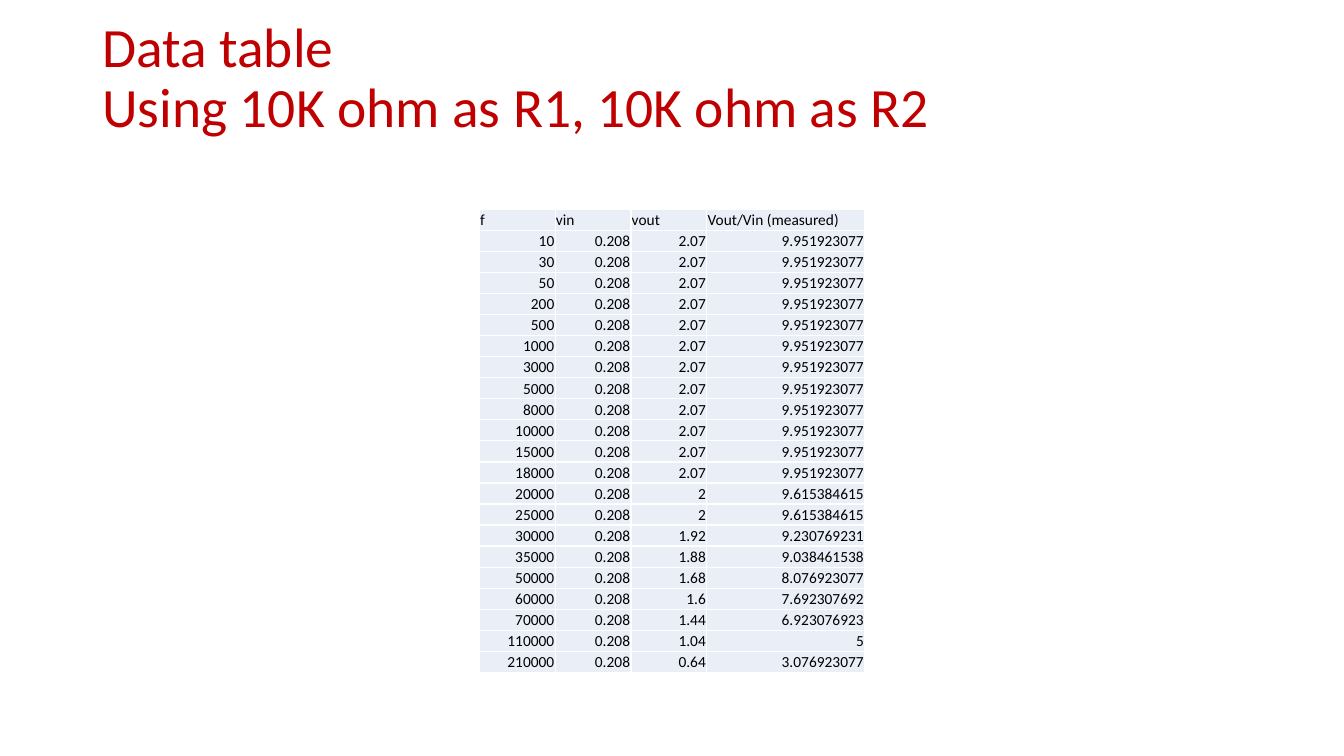
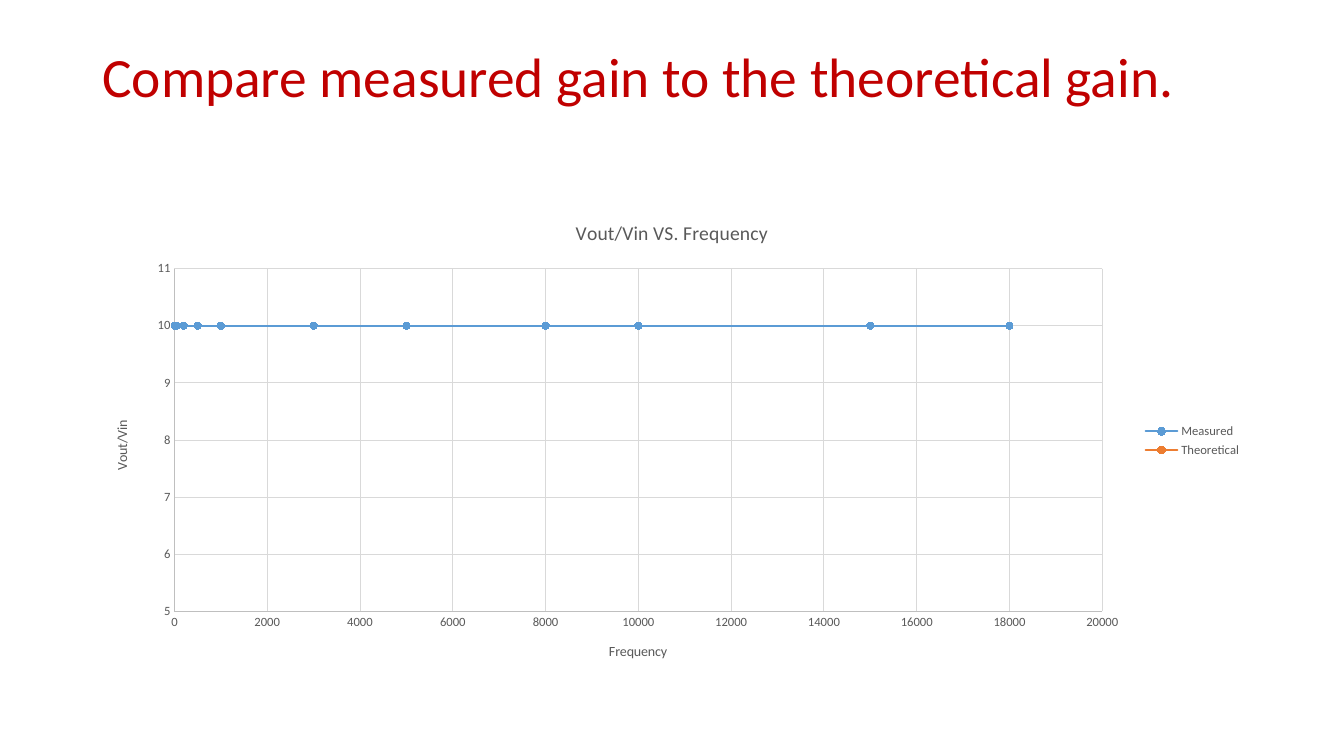
from dataclasses import dataclass
from typing import Any, NamedTuple

from lxml.etree import SubElement
from pptx import Presentation
from pptx.chart.data import XyChartData
from pptx.dml.color import RGBColor as RGB
from pptx.enum.chart import XL_CHART_TYPE as ChartType
from pptx.enum.chart import XL_LEGEND_POSITION as LegendPos
from pptx.enum.chart import XL_MARKER_STYLE as Marker
from pptx.enum.chart import XL_TICK_MARK as Tick
from pptx.enum.text import MSO_ANCHOR as Anchor
from pptx.enum.text import PP_ALIGN as Align
from pptx.oxml.ns import qn
from pptx.util import Cm, Pt


@dataclass(frozen=True)
class Theme:
    font: str = "Calibri"
    title: RGB = RGB(0xC0, 0x00, 0x00)
    text: RGB = RGB(0x00, 0x00, 0x00)
    label: RGB = RGB(0x59, 0x59, 0x59)
    axis: RGB = RGB(0xBF, 0xBF, 0xBF)
    grid: RGB = RGB(0xD9, 0xD9, 0xD9)
    cell: RGB = RGB(0xEA, 0xEF, 0xF7)
    border: str = "FFFFFF"
    blue: RGB = RGB(0x5B, 0x9B, 0xD5)
    orange: RGB = RGB(0xED, 0x7D, 0x31)
    title_size: float = 39.6
    cell_size: float = 11
    chart_title_size: float = 14
    axis_title_size: float = 10
    label_size: float = 9


class Box(NamedTuple):
    left: Cm
    top: Cm
    width: Cm
    height: Cm


class Reading(NamedTuple):
    f: int
    vout: float

    @property
    def gain(self) -> float:
        return self.vout / VIN


class Curve(NamedTuple):
    name: str
    points: list[tuple[int, int]]
    color: RGB


THEME = Theme()
VIN = 0.208
IDEAL_GAIN = 10
FLAT_BAND = (10, 30, 50, 200, 500, 1000, 3000, 5000, 8000, 10000, 15000, 18000)
FLAT = [Reading(f, 2.07) for f in FLAT_BAND]
ROLL_OFF = [
    Reading(20000, 2), Reading(25000, 2), Reading(30000, 1.92),
    Reading(35000, 1.88), Reading(50000, 1.68), Reading(60000, 1.6),
    Reading(70000, 1.44), Reading(110000, 1.04), Reading(210000, 0.64),
]
HEADER = ("f", "vin", "vout", "Vout/Vin (measured)")
COL_WIDTHS = (Cm(1.91), Cm(1.91), Cm(1.91), Cm(3.98))
ROW_HEIGHT = Cm(0.53)

TITLE_BOX = Box(Cm(2.33), Cm(1.01), Cm(29.21), Cm(3.68))
CHART_BOX = Box(Cm(2.33), Cm(5.06), Cm(29.21), Cm(12.09))
TABLE_LEFT, TABLE_TOP = Cm(12.08), Cm(5.28)


def apply(obj: Any, fmt: dict[str, Any]) -> None:
    for name, value in fmt.items():
        setattr(obj, name, value)


def style_font(font: Any, size: float, color: RGB) -> None:
    apply(font, {"name": THEME.font, "size": Pt(size), "bold": False})
    font.color.rgb = color


def style_line(line: Any, color: RGB, width: float = 0.75) -> None:
    line.color.rgb = color
    line.width = Pt(width)


def add_title(s: Any, text: str) -> None:
    tf = s.shapes.add_textbox(*TITLE_BOX).text_frame
    apply(tf, {
        "word_wrap": True, "vertical_anchor": Anchor.MIDDLE,
        "margin_top": Cm(0.13), "margin_bottom": Cm(1.8),
    })
    p = tf.paragraphs[0]
    apply(p, {"text": text, "line_spacing": 0.9})
    for r in p.runs:
        style_font(r.font, THEME.title_size, THEME.title)


def add_borders(cell: Any) -> None:
    tc_pr = cell._tc.get_or_add_tcPr()
    for i, side in enumerate(("a:lnL", "a:lnR", "a:lnT", "a:lnB")):
        ln = tc_pr.makeelement(qn(side), {"w": str(Pt(1))})
        fill = SubElement(ln, qn("a:solidFill"))
        SubElement(fill, qn("a:srgbClr"), val=THEME.border)
        tc_pr.insert(i, ln)


def fill_cell(cell: Any, text: str, align: Align) -> None:
    apply(cell, {
        "text": text, "vertical_anchor": Anchor.MIDDLE,
        "margin_left": Cm(0.02), "margin_right": Cm(0.02),
        "margin_top": Cm(0.02), "margin_bottom": 0,
    })
    cell.fill.solid()
    cell.fill.fore_color.rgb = THEME.cell
    p = cell.text_frame.paragraphs[0]
    p.alignment = align
    style_font(p.runs[0].font, THEME.cell_size, THEME.text)
    add_borders(cell)


def add_readings(s: Any, readings: list[Reading]) -> None:
    rows = [HEADER] + [
        tuple(f"{v:.10g}" for v in (m.f, VIN, m.vout, m.gain)) for m in readings
    ]
    table = s.shapes.add_table(
        len(rows), len(HEADER), TABLE_LEFT, TABLE_TOP,
        sum(COL_WIDTHS), ROW_HEIGHT * len(rows),
    ).table
    apply(table, {"first_row": False, "horz_banding": False})
    for col, width in zip(table.columns, COL_WIDTHS):
        col.width = width
    for i, row in enumerate(rows):
        table.rows[i].height = ROW_HEIGHT
        for j, text in enumerate(row):
            fill_cell(table.cell(i, j), text, Align.RIGHT if i else Align.LEFT)


def set_title(title: Any, text: str, size: float) -> Any:
    tf = title.text_frame
    tf.text = text
    style_font(tf.paragraphs[0].runs[0].font, size, THEME.label)
    return tf


def style_axis(axis: Any, title: str) -> Any:
    apply(axis, {
        "has_major_gridlines": True, "has_minor_gridlines": False,
        "major_tick_mark": Tick.NONE, "minor_tick_mark": Tick.NONE,
    })
    style_line(axis.format.line, THEME.axis)
    style_line(axis.major_gridlines.format.line, THEME.grid)
    style_font(axis.tick_labels.font, THEME.label_size, THEME.label)
    return set_title(axis.axis_title, title, THEME.axis_title_size)


def style_curve(series: Any, color: RGB) -> None:
    series.smooth = False
    style_line(series.format.line, color, 1.5)
    series.format.line._get_or_add_ln().set("cap", "rnd")
    apply(series.marker, {"style": Marker.CIRCLE, "size": 5})
    mark = series.marker.format
    mark.fill.solid()
    mark.fill.fore_color.rgb = color
    style_line(mark.line, color)


def add_gain_chart(s: Any, curves: list[Curve]) -> None:
    data = XyChartData()
    for curve in curves:
        series = data.add_series(curve.name)
        for x, y in curve.points:
            series.add_data_point(x, y)
    chart = s.shapes.add_chart(ChartType.XY_SCATTER_LINES, *CHART_BOX, data).chart
    style_font(chart.font, THEME.axis_title_size, THEME.text)
    set_title(chart.chart_title, "Vout/Vin VS. Frequency", THEME.chart_title_size)
    style_axis(chart.category_axis, "Frequency")
    tf = style_axis(chart.value_axis, "Vout/Vin")
    tf._txBody.bodyPr.set("rot", "-5400000")
    apply(chart.value_axis, {"minimum_scale": 5, "maximum_scale": 11, "major_unit": 1})

    chart.has_legend = True
    apply(chart.legend, {"position": LegendPos.RIGHT, "include_in_layout": False})
    style_font(chart.legend.font, THEME.label_size, THEME.label)

    plot = chart.plots[0]
    plot.vary_by_categories = False
    for series, curve in zip(plot.series, curves):
        style_curve(series, curve.color)


def main() -> None:
    prs = Presentation()
    apply(prs, {"slide_width": Cm(33.87), "slide_height": Cm(19.05)})
    blank = prs.slide_layouts[6]

    s = prs.slides.add_slide(blank)
    add_title(s, "Data table\vUsing 10K ohm as R1, 10K ohm as R2")
    add_readings(s, FLAT + ROLL_OFF)

    s = prs.slides.add_slide(blank)
    add_title(s, "Compare measured gain to the theoretical gain.")
    add_gain_chart(s, [
        Curve("Measured", [(m.f, round(m.gain)) for m in FLAT], THEME.blue),
        Curve("Theoretical", [(m.f, IDEAL_GAIN) for m in FLAT], THEME.orange),
    ])
    prs.save("out.pptx")


if __name__ == "__main__":
    main()
